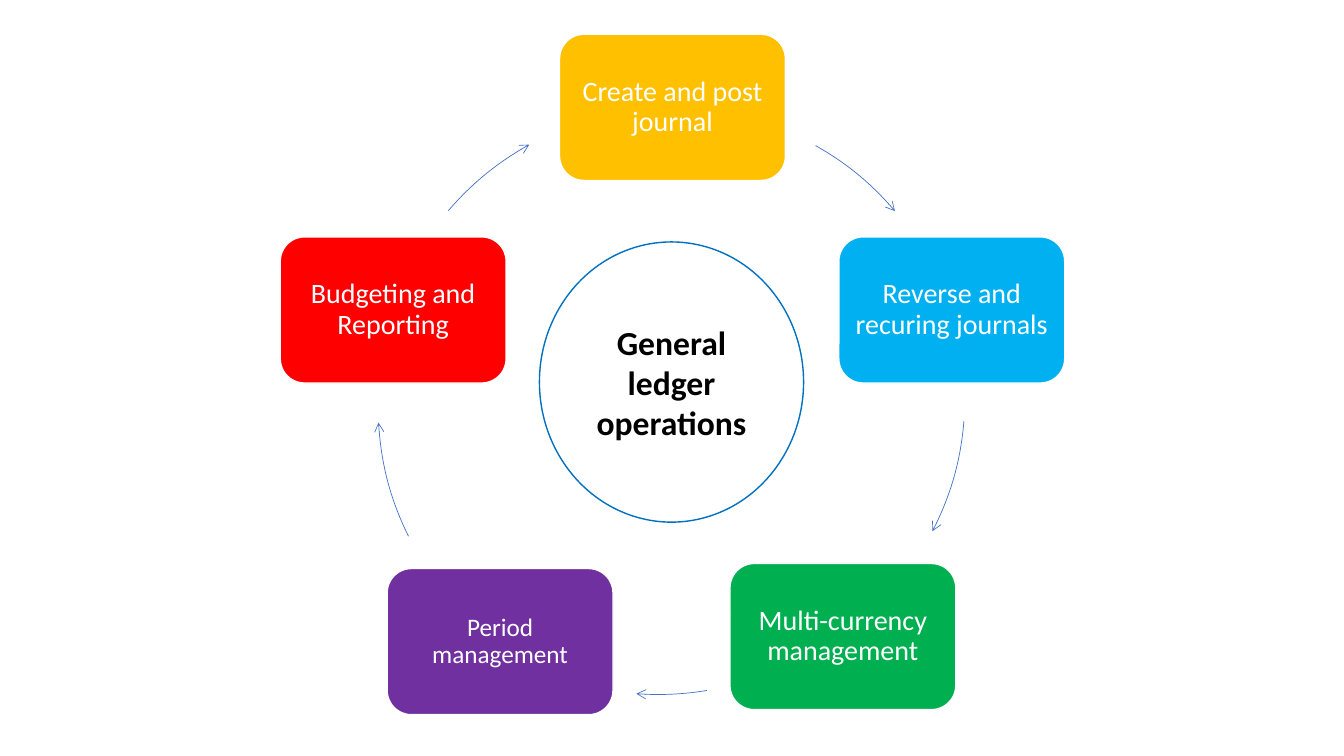
from dataclasses import dataclass

from lxml.etree import SubElement
from pptx import Presentation
from pptx.dml.color import RGBColor
from pptx.enum.shapes import MSO_SHAPE
from pptx.enum.text import MSO_ANCHOR, PP_ALIGN
from pptx.oxml.ns import qn
from pptx.util import Inches, Pt


@dataclass(frozen=True)
class Theme:
    font: str = "Calibri"
    white: str = "FFFFFF"
    black: str = "000000"
    arrow: str = "4472C4"
    ring: str = "0070C0"
    gold: str = "FFC000"
    sky: str = "00B0F0"
    green: str = "00B050"
    purple: str = "7030A0"
    red: str = "FF0000"
    step_size: int = 20
    small_step_size: int = 18
    hub_size: int = 24


theme = Theme()
presentation = Presentation()
presentation.slide_width = Inches(13.33)
presentation.slide_height = Inches(7.5)
slide = presentation.slides.add_slide(presentation.slide_layouts[6])


def add_outlined(kind, left, top, width, height, line_color, line_width):
    shape = slide.shapes.add_shape(
        kind, Inches(left), Inches(top), Inches(width), Inches(height))
    shape.shadow.inherit = False
    shape.fill.background()
    shape.line.color.rgb = RGBColor.from_string(line_color)
    shape.line.width = Pt(line_width)
    return shape


def write_centred(shape, text, size, color, bold=False):
    frame = shape.text_frame
    frame.text = text
    frame.word_wrap = True
    frame.vertical_anchor = MSO_ANCHOR.MIDDLE
    paragraph = frame.paragraphs[0]
    paragraph.alignment = PP_ALIGN.CENTER
    font = paragraph.runs[0].font
    font.name = theme.font
    font.size = Pt(size)
    font.bold = bold
    font.color.rgb = RGBColor.from_string(color)
    return paragraph


STEP_WIDTH, STEP_HEIGHT = 2.24, 1.45
steps = [
    ("Create and post journal", 5.55, 0.34, theme.gold, theme.step_size),
    ("Reverse and recuring journals", 8.32, 2.35, theme.sky, theme.step_size),
    ("Multi-currency management", 7.24, 5.59, theme.green, theme.step_size),
    ("Period management", 3.84, 5.64, theme.purple, theme.small_step_size),
    ("Budgeting and Reporting", 2.78, 2.35, theme.red, theme.step_size),
]
for text, left, top, color, size in steps:
    step = add_outlined(MSO_SHAPE.ROUNDED_RECTANGLE, left, top,
                        STEP_WIDTH, STEP_HEIGHT, theme.white, 1)
    step.fill.solid()
    step.fill.fore_color.rgb = RGBColor.from_string(color)
    frame = step.text_frame
    frame.margin_left = frame.margin_right = Inches(0.08)
    frame.margin_top = frame.margin_bottom = Inches(0.08)
    paragraph = write_centred(step, text, size, theme.white)
    paragraph.line_spacing = 0.9

CYCLE_DIAMETER = 5.82
ANGLE_UNIT = 0.6
arrows = [
    (3.75, 1.07, 299.4, 319.6),
    (3.75, 1.03, 4.7, 27.2),
    (3.62, 1.07, 80.5, 94.3),
    (3.75, 1.12, 153.7, 176.8),
    (3.75, 1.07, 220.5, 241),
]
for left, top, start_angle, end_angle in arrows:
    arrow = add_outlined(MSO_SHAPE.ARC, left, top,
                         CYCLE_DIAMETER, CYCLE_DIAMETER, theme.arrow, 0.5)
    arrow.adjustments[0] = start_angle * ANGLE_UNIT
    arrow.adjustments[1] = end_angle * ANGLE_UNIT
    SubElement(arrow.line._get_or_add_ln(), qn("a:tailEnd"), type="arrow")

hub = add_outlined(MSO_SHAPE.OVAL, 5.35, 2.4, 2.62, 2.78, theme.ring, 1)
write_centred(hub, "General ledger operations", theme.hub_size, theme.black, bold=True)

presentation.save("out.pptx")
